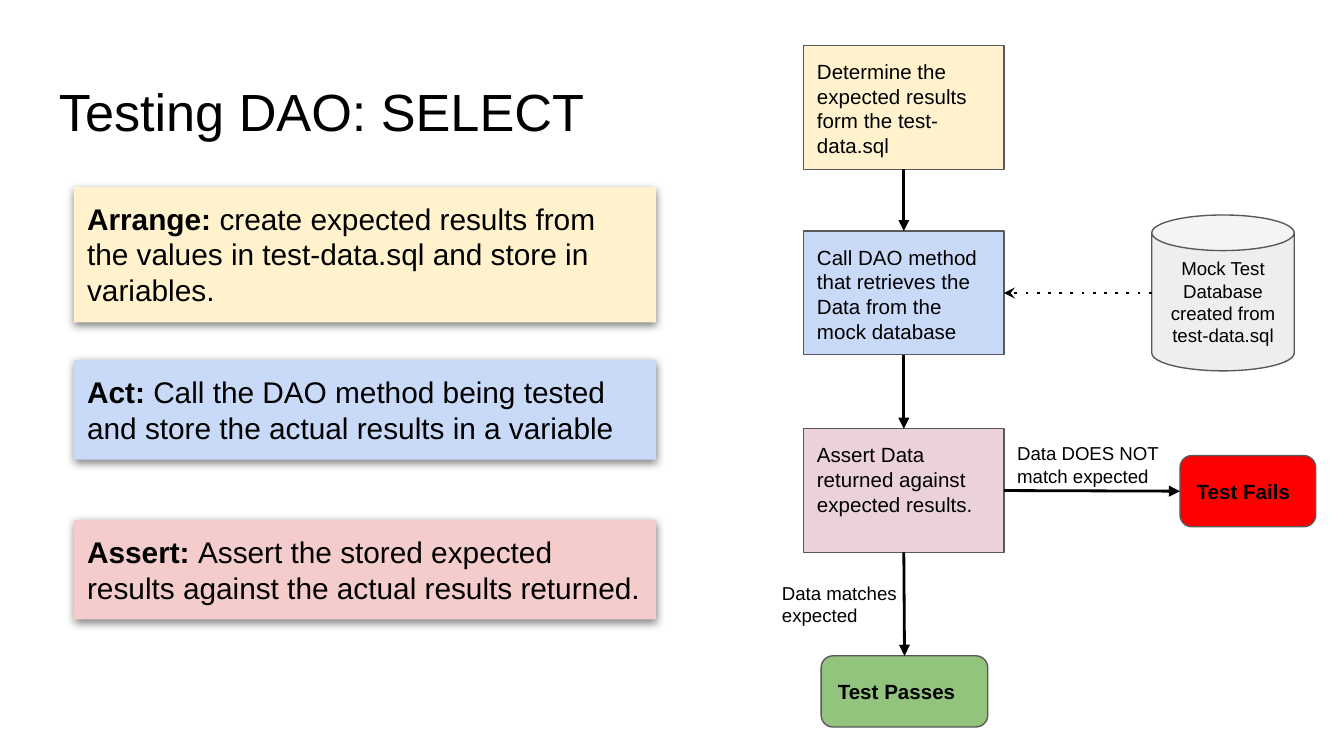
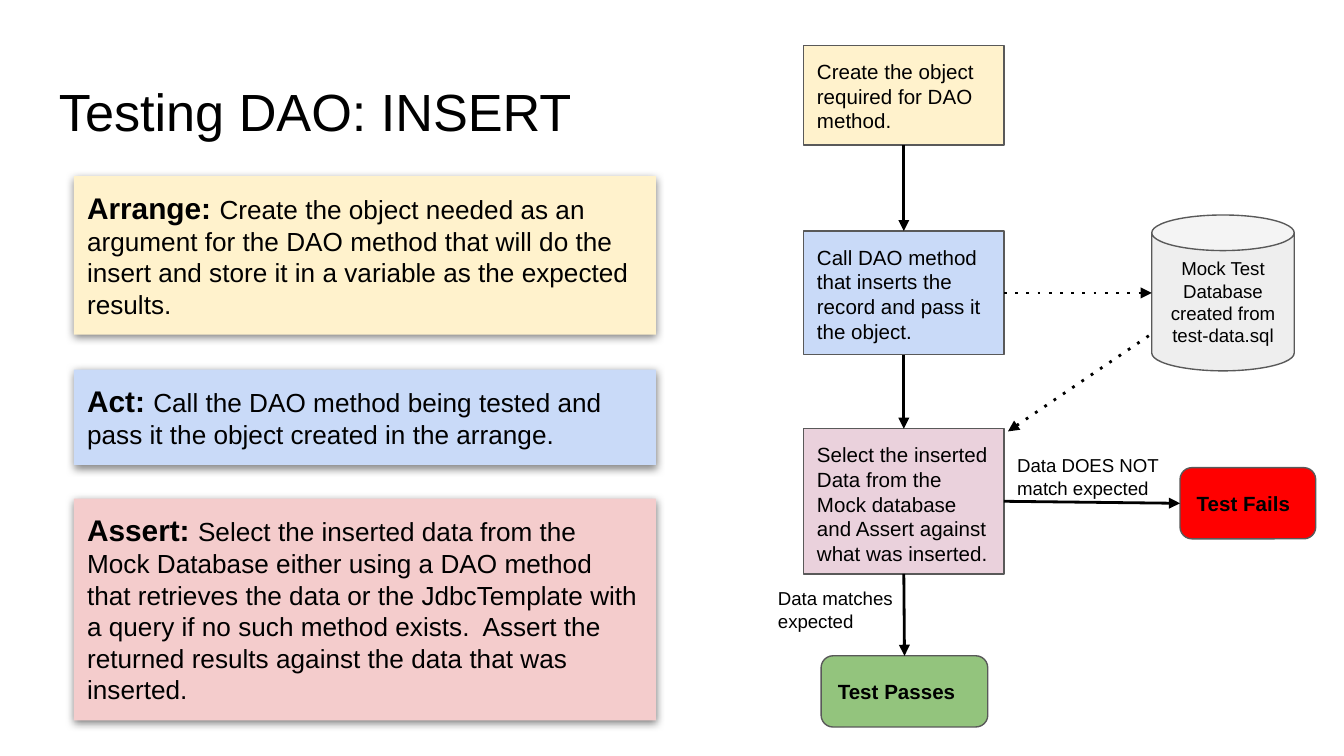
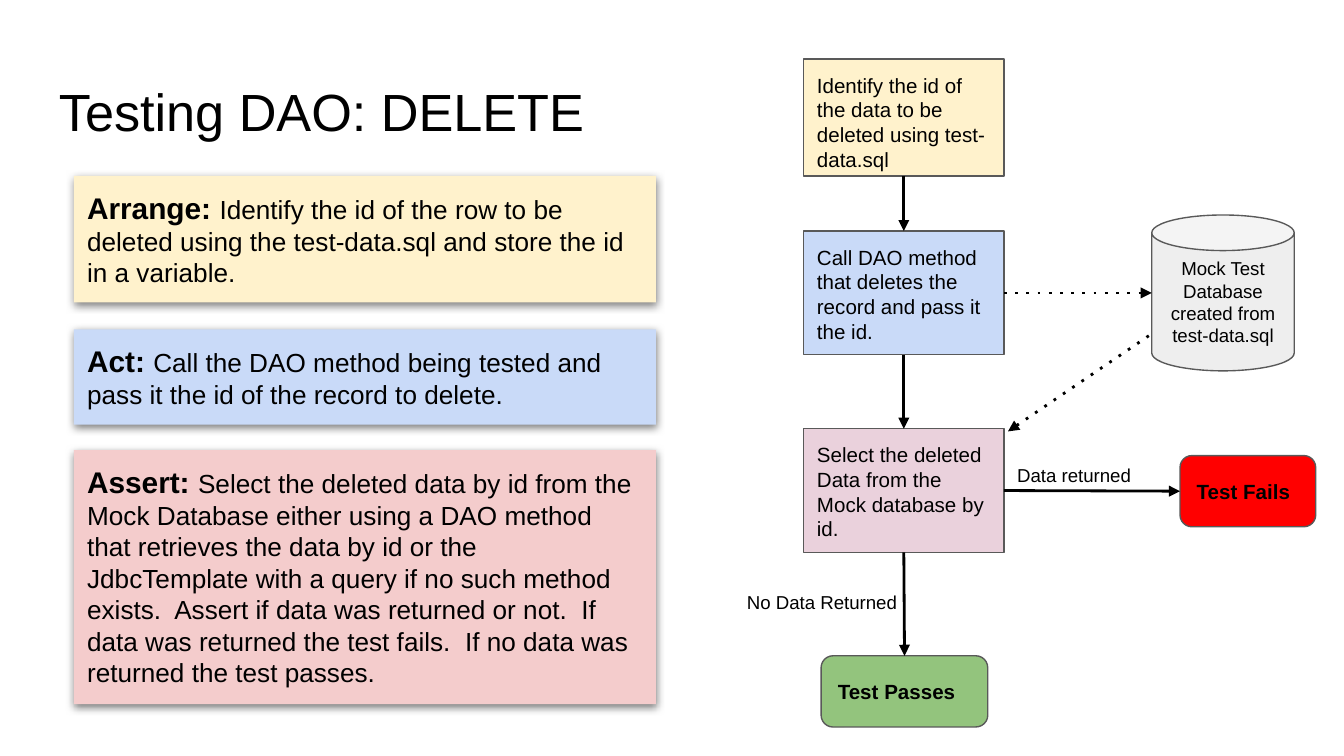
"""Build three slides on testing DAO methods: SELECT, INSERT and DELETE."""
from dataclasses import dataclass

from lxml.etree import SubElement
from pptx import Presentation
from pptx.dml.color import RGBColor
from pptx.enum.shapes import MSO_CONNECTOR as Connector, MSO_SHAPE as Shape
from pptx.enum.text import MSO_ANCHOR as Anchor, MSO_AUTO_SIZE as AutoSize, PP_ALIGN as Align
from pptx.oxml.ns import qn
from pptx.util import Emu, Pt

EMU_PER_PX = 9144
SLIDE_WIDTH = 1000
TOP, LEFT, BOTTOM, RIGHT = range(4)


@dataclass(frozen=True)
class Theme:
    font: str = "Arial"
    text: str = "000000"
    outline: str = "595959"
    arrange: str = "FFF2CC"
    act: str = "C9DAF8"
    assert_card: str = "F4CCCC"
    assert_step: str = "EAD1DC"
    database: str = "EEEEEE"
    fails: str = "FF0000"
    passes: str = "93C47D"
    title_size: int = 28
    heading_size: int = 16
    step_size: int = 11
    label_size: int = 10
    inset: int = 10


THEME = Theme()


@dataclass(frozen=True)
class Card:
    heading: str
    body: str
    top: int
    height: int


@dataclass(frozen=True)
class Step:
    text: str
    top: int
    height: int


@dataclass(frozen=True)
class Label:
    text: str
    left: int
    top: int
    height: int


@dataclass(frozen=True)
class DaoTest:
    operation: str
    body_size: int
    cards: tuple
    steps: tuple
    fails_top: int
    fails_label: Label
    passes_label: Label
    reads_only: bool = False


DAO_TESTS = (
    DaoTest(
        "SELECT", 16,
        (Card("Arrange:", "create expected results from the values in test-data.sql "
              "and store in variables.", 139, 101),
         Card("Act:", "Call the DAO method being tested and store the actual results "
              "in a variable", 268, 74),
         Card("Assert:", "Assert the stored expected results against the actual "
              "results returned.", 387, 74)),
        (Step("Determine the expected results form the test-data.sql", 34, 92),
         Step("Call DAO method that retrieves the Data from the mock database", 172, 92),
         Step("Assert Data returned against expected results.", 319, 92)),
        339,
        Label("Data DOES NOT match expected", 747, 319, 54),
        Label("Data matches expected", 572, 423, 54),
        reads_only=True,
    ),
    DaoTest(
        "INSERT", 14,
        (Card("Arrange:", "Create the object needed as an argument for the DAO method "
              "that will do the insert and store it in a variable as the expected "
              "results.", 131, 118),
         Card("Act:", "Call the DAO method being tested and pass it the object created "
              "in the arrange.", 275, 71),
         Card("Assert:", "Select the inserted data from the Mock Database either using a "
              "DAO method that retrieves the data or the JdbcTemplate with a query if no "
              "such method exists.  Assert the returned results against the data that "
              "was inserted.", 371, 165)),
        (Step("Create the object required for DAO method.", 34, 74),
         Step("Call DAO method that inserts the record and pass it the object.", 172, 92),
         Step("Select the inserted Data from the Mock database and Assert against what "
              "was inserted.", 319, 108)),
        348,
        Label("Data DOES NOT match expected", 747, 328, 54),
        Label("Data matches expected", 569, 427, 54),
    ),
    DaoTest(
        "DELETE", 14,
        (Card("Arrange:", "Identify the id of the row to be deleted using the "
              "test-data.sql and store the id in a variable.", 131, 94),
         Card("Act:", "Call the DAO method being tested and pass it the id of the "
              "record to delete.", 245, 71),
         Card("Assert:", "Select the deleted data by id from the Mock Database either "
              "using a DAO method that retrieves the data by id or the JdbcTemplate with "
              "a query if no such method exists.  Assert if data was returned or not.  "
              "If data was returned the test fails.  If no data was returned the test "
              "passes.", 335, 189)),
        (Step("Identify the id of the data to be deleted using test-data.sql", 44, 87),
         Step("Call DAO method that deletes the record and pass it the id.", 172, 92),
         Step("Select the deleted Data from the Mock database by id.", 319, 92)),
        339,
        Label("Data returned", 747, 337, 37),
        Label("No Data Returned", 546, 431, 37),
    ),
)


def px(length):
    """Turn px into EMU."""
    return Emu(length * EMU_PER_PX)


def prepare_frame(shape, anchor=Anchor.TOP, grow=False):
    """Set the insets, wrapping and anchor of a shape's text, and return its frame."""
    frame = shape.text_frame
    frame.word_wrap = True
    frame.vertical_anchor = anchor
    frame.auto_size = AutoSize.SHAPE_TO_FIT_TEXT if grow else AutoSize.NONE
    frame.margin_left = frame.margin_right = px(THEME.inset)
    frame.margin_top = frame.margin_bottom = px(THEME.inset)
    return frame


def add_run(paragraph, text, size, bold=False):
    """Add one run in the theme font."""
    run = paragraph.add_run()
    run.text = text
    run.font.name = THEME.font
    run.font.size = Pt(size)
    run.font.bold = bold
    run.font.color.rgb = RGBColor.from_string(THEME.text)


def add_text(slide, text, box, size, grow=False):
    """Add a plain text box."""
    shape = slide.shapes.add_textbox(*map(px, box))
    frame = prepare_frame(shape, grow=grow)
    add_run(frame.paragraphs[0], text, size)


def add_panel(slide, kind, box, fill, outlined=True):
    """Add a filled shape without a shadow."""
    shape = slide.shapes.add_shape(kind, *map(px, box))
    shape.shadow.inherit = False
    shape.fill.solid()
    shape.fill.fore_color.rgb = RGBColor.from_string(fill)
    if outlined:
        shape.line.color.rgb = RGBColor.from_string(THEME.outline)
        shape.line.width = Pt(0.75)
    else:
        shape.line.fill.background()
    return shape


def add_soft_shadow(shape):
    """Give a shape a soft shadow straight below it."""
    effects = shape._element.spPr.find(qn("a:effectLst"))
    shadow = SubElement(effects, qn("a:outerShdw"), blurRad=str(Pt(4.5)),
                        dist=str(Pt(1.5)), dir="5400000", algn="bl", rotWithShape="0")
    color = SubElement(shadow, qn("a:srgbClr"), val=THEME.text)
    SubElement(color, qn("a:alpha"), val="50000")


def add_card(slide, card, fill, body_size):
    """Add a shadowed card with a bold heading run before its body."""
    shape = add_panel(slide, Shape.RECTANGLE, (55, card.top, 433, card.height), fill, False)
    add_soft_shadow(shape)
    paragraph = prepare_frame(shape, grow=True).paragraphs[0]
    paragraph.alignment = Align.LEFT
    add_run(paragraph, f"{card.heading} ", THEME.heading_size, True)
    add_run(paragraph, card.body, body_size)


def add_step(slide, step, fill):
    """Add one rectangle of the flow."""
    shape = add_panel(slide, Shape.RECTANGLE, (598, step.top, 149, step.height), fill)
    paragraph = prepare_frame(shape).paragraphs[0]
    paragraph.alignment = Align.LEFT
    add_run(paragraph, step.text, THEME.step_size)
    return shape


def add_result(slide, text, box, fill):
    """Add a rounded end point of the flow."""
    shape = add_panel(slide, Shape.ROUNDED_RECTANGLE, box, fill)
    paragraph = prepare_frame(shape, Anchor.MIDDLE).paragraphs[0]
    paragraph.alignment = Align.LEFT
    add_run(paragraph, text, THEME.step_size, True)
    return shape


def add_database(slide):
    """Add the mock database cylinder."""
    shape = add_panel(slide, Shape.CAN, (857, 160, 106, 116), THEME.database)
    frame = prepare_frame(shape, Anchor.MIDDLE)
    lines = ("Mock Test", "Database created from test-data.sql")
    for index, text in enumerate(lines):
        paragraph = frame.add_paragraph() if index else frame.paragraphs[0]
        paragraph.alignment = Align.CENTER
        add_run(paragraph, text, THEME.label_size)


def add_arrow(slide, start=(0, 0), end=(0, 0), begin=None, finish=None,
              dotted=False, head="triangle", head_end="a:tailEnd"):
    """Add an arrow between points, or joined to (shape, side) pairs."""
    arrow = slide.shapes.add_connector(Connector.STRAIGHT, *map(px, (*start, *end)))
    if begin:
        arrow.begin_connect(*begin)
    if finish:
        arrow.end_connect(*finish)
    arrow.line.color.rgb = RGBColor.from_string(THEME.text)
    arrow.line.width = Pt(1.5)
    line = arrow.line._get_or_add_ln()
    if dotted:
        SubElement(line, qn("a:prstDash"), val="dot")
    SubElement(line, qn(head_end), type=head)
    SubElement(arrow._element.spPr, qn("a:effectLst"))


def add_flow(slide, test):
    """Add the flow chart of one test."""
    add_database(slide)
    fills = (THEME.arrange, THEME.act, THEME.assert_step)
    steps = [add_step(slide, step, fill) for step, fill in zip(test.steps, fills)]
    fails = add_result(slide, "Test Fails", (878, test.fails_top, 101, 53), THEME.fails)
    passes = add_result(slide, "Test Passes", (611, 488, 124, 53), THEME.passes)

    column = [*steps, passes]
    for upper, lower in zip(column, column[1:]):
        add_arrow(slide, begin=(upper, BOTTOM), finish=(lower, TOP))
    add_arrow(slide, begin=(steps[2], RIGHT), finish=(fails, LEFT))

    database_side = (857, 218)
    call_side = (steps[1], RIGHT)
    if test.reads_only:
        add_arrow(slide, end=database_side, begin=call_side, dotted=True,
                  head="stealth", head_end="a:headEnd")
    else:
        add_arrow(slide, end=database_side, begin=call_side, dotted=True)
        add_arrow(slide, start=(750, 321), end=(859, 247), dotted=True,
                  head_end="a:headEnd")

    for label in (test.passes_label, test.fails_label):
        box = (label.left, label.top, 153, label.height)
        add_text(slide, label.text, box, THEME.label_size, grow=True)


def add_test_slide(presentation, test):
    """Add the slide of one DAO test."""
    slide = presentation.slides.add_slide(presentation.slide_layouts[6])
    add_text(slide, f"Testing DAO: {test.operation}", (34, 49, 412, 63), THEME.title_size)
    add_flow(slide, test)
    fills = (THEME.arrange, THEME.act, THEME.assert_card)
    for card, fill in zip(test.cards, fills):
        add_card(slide, card, fill, test.body_size)


def main():
    """Build and save the presentation."""
    presentation = Presentation()
    presentation.slide_width = px(SLIDE_WIDTH)
    presentation.slide_height = Emu(px(SLIDE_WIDTH) * 9 // 16)
    for test in DAO_TESTS:
        add_test_slide(presentation, test)
    presentation.save("out.pptx")


if __name__ == "__main__":
    main()
